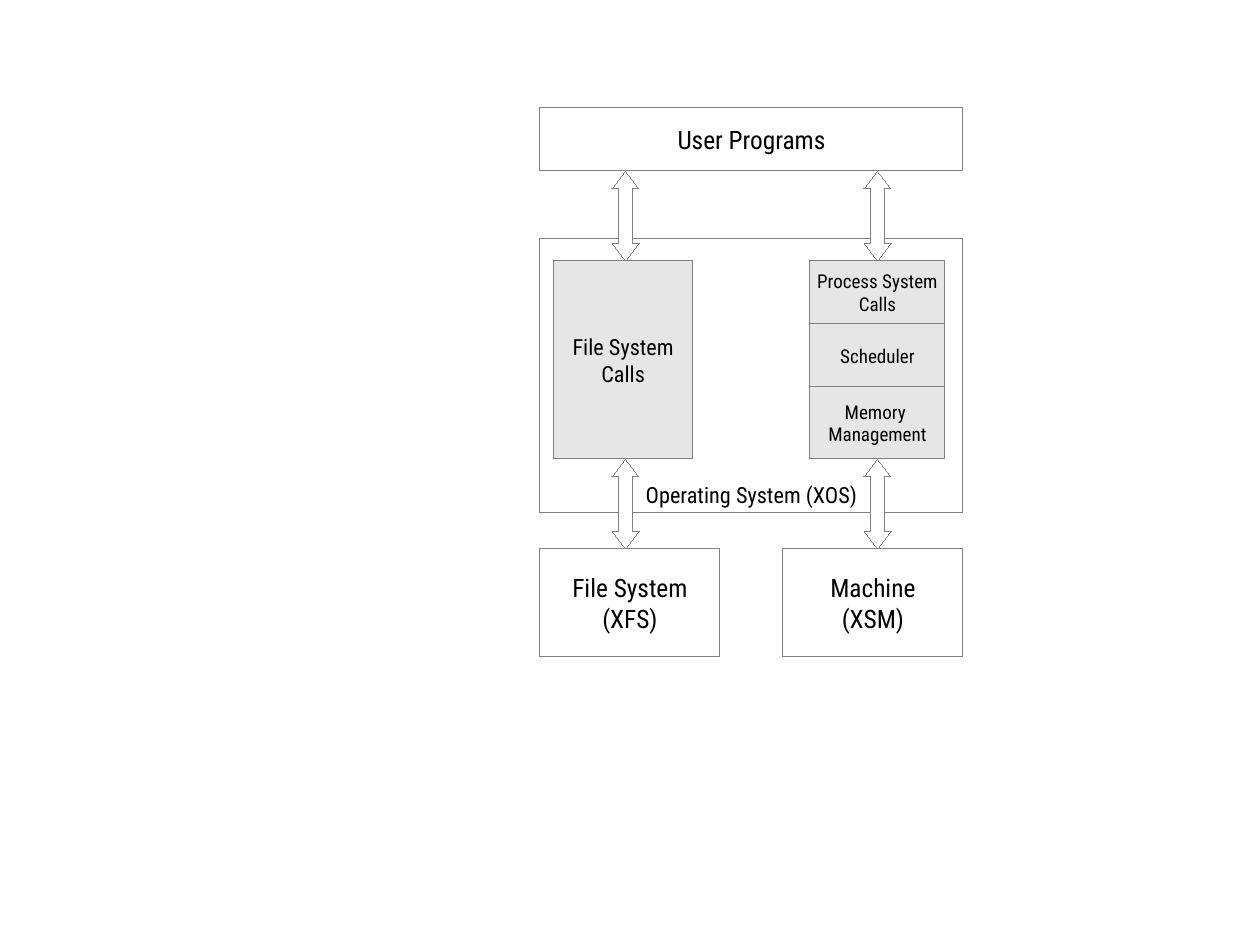
import pptx
import pptx.util
import pptx.dml.color
import pptx.enum.shapes
import pptx.enum.text

SHAPE = pptx.enum.shapes.MSO_SHAPE
ANCHOR = pptx.enum.text.MSO_ANCHOR
WHITE, PALE_GREY, GREY, BLACK = "FFFFFF", "E6E6E6", "808080", "000000"


def color(value):
    return pptx.dml.color.RGBColor.from_string(value)


def apply(target, formats):
    for name, value in formats.items():
        setattr(target, name, value)


class Diagram:
    columns, rows = 280, 210
    hairline = pptx.util.Emu(1)
    font = {"name": "Roboto Condensed"}
    frame = {
        "word_wrap": False,
        "margin_left": pptx.util.Inches(0.1),
        "margin_right": pptx.util.Inches(0.1),
        "margin_top": pptx.util.Inches(0.05),
        "margin_bottom": pptx.util.Inches(0.05),
    }

    def __init__(self, deck):
        self.unit_x = deck.slide_width / self.columns
        self.unit_y = deck.slide_height / self.rows
        self.slide = deck.slides.add_slide(deck.slide_layouts[6])

    def outline(self, kind, column, row, width, height, fill):
        shape = self.slide.shapes.add_shape(
            kind,
            round(column * self.unit_x),
            round(row * self.unit_y),
            round(width * self.unit_x),
            round(height * self.unit_y),
        )
        shape.shadow.inherit = False
        shape.fill.solid()
        shape.fill.fore_color.rgb = color(fill)
        shape.line.color.rgb = color(GREY)
        shape.line.width = self.hairline
        return shape

    def box(self, label, place, size, fill=WHITE, **frame):
        text = self.outline(SHAPE.RECTANGLE, *place, fill).text_frame
        text.text = label
        apply(text, {"vertical_anchor": ANCHOR.MIDDLE, **self.frame, **frame})
        for paragraph in text.paragraphs:
            paragraph.alignment = pptx.enum.text.PP_ALIGN.CENTER
            for run in paragraph.runs:
                apply(run.font, {**self.font, "size": pptx.util.Pt(size)})
                run.font.color.rgb = color(BLACK)

    def arrow(self, center, middle, length=20, thickness=6):
        place = (center - length / 2, middle - thickness / 2, length, thickness)
        arrow = self.outline(SHAPE.LEFT_RIGHT_ARROW, *place, WHITE)
        arrow.rotation = 89.8
        arrow.adjustments[0] = 0.5
        arrow.adjustments[1] = 0.66


def main():
    deck = pptx.Presentation()
    deck.slide_width = pptx.util.Mm(280)
    deck.slide_height = pptx.util.Mm(210)
    diagram = Diagram(deck)

    diagram.box("Operating System (XOS)", (120, 53, 94, 61), 14,
                vertical_anchor=ANCHOR.BOTTOM, margin_bottom=pptx.util.Inches(0.04))
    diagram.box("User Programs", (120, 24, 94, 14), 16)

    for center in (139, 195):
        for middle in (48, 112):
            diagram.arrow(center, middle)

    diagram.box("File System\nCalls", (123, 58, 31, 44), 14, PALE_GREY)

    process_layers = [("Process System\nCalls", 14), ("Scheduler", 14), ("Memory \nManagement", 16)]
    layer_row = 58
    for layer, height in process_layers:
        diagram.box(layer, (180, layer_row, 30, height), 12, PALE_GREY)
        layer_row += height

    for component, column in (("File System\n(XFS)", 120), ("Machine\n(XSM)", 174)):
        diagram.box(component, (column, 122, 40, 24), 16)

    deck.save("out.pptx")


if __name__ == "__main__":
    main()
